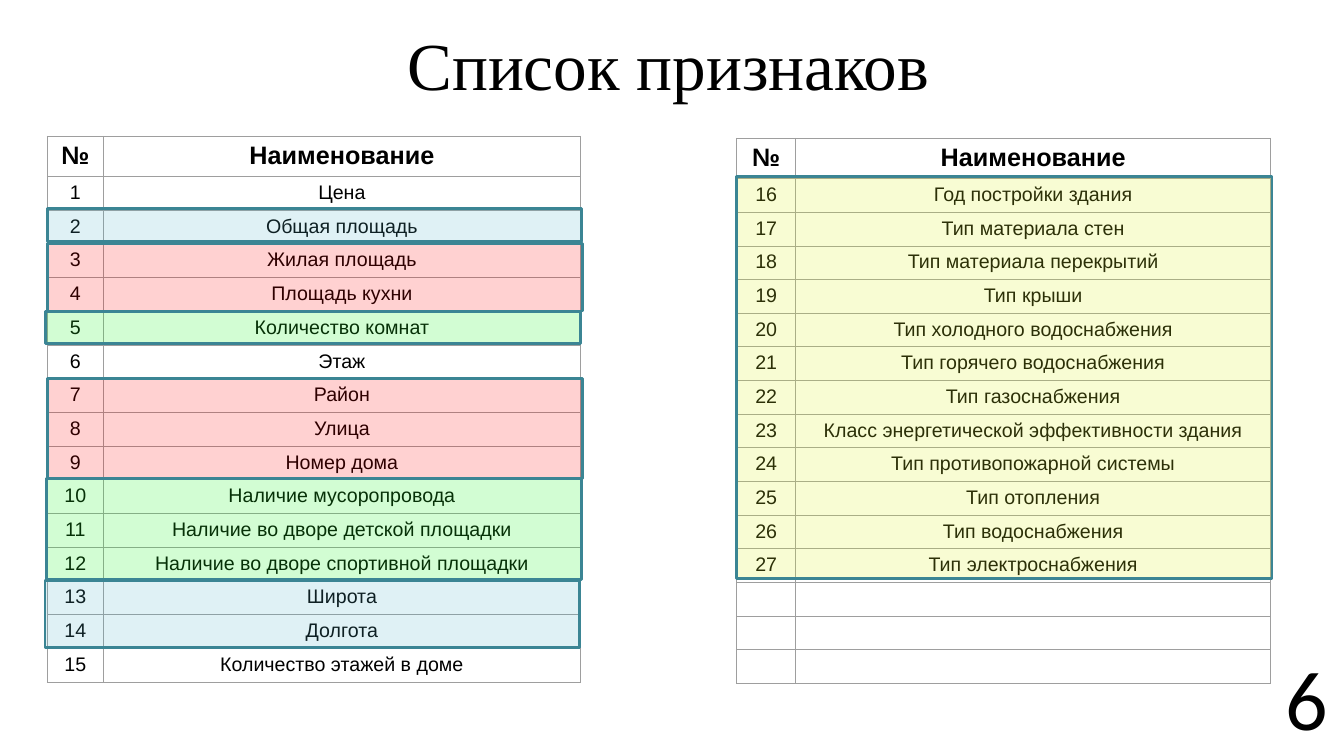
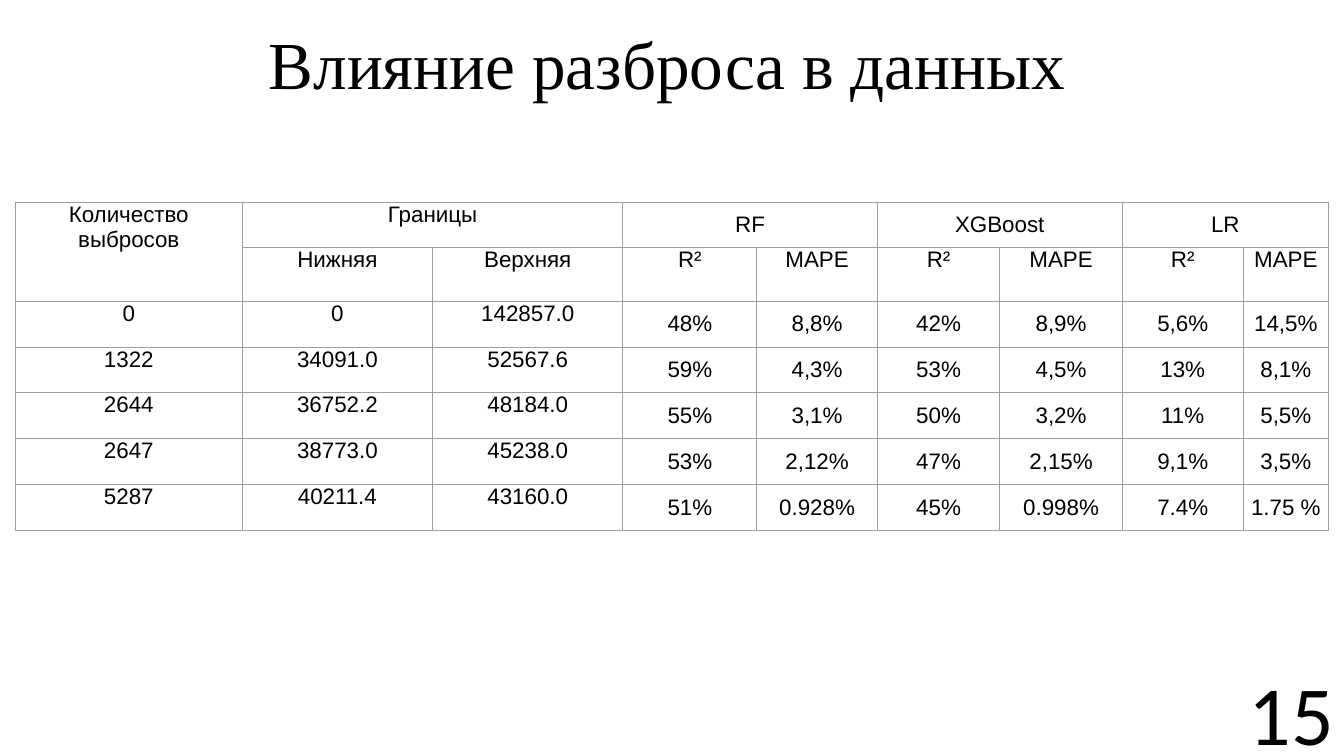
"""Build two slides: the list of housing features and the effect of outliers on model quality."""
from lxml.etree import SubElement
from pptx import Presentation
from pptx.dml.color import RGBColor
from pptx.enum.shapes import MSO_SHAPE
from pptx.enum.text import MSO_ANCHOR, PP_ALIGN
from pptx.oxml.ns import qn
from pptx.util import Pt

BLACK = RGBColor(0x00, 0x00, 0x00)
GRID = RGBColor(0x9E, 0x9E, 0x9E)
TEAL = RGBColor(0x3B, 0x85, 0x94)
BLUE = RGBColor(0x50, 0xB4, 0xC8)
GREEN = RGBColor(0x21, 0xF7, 0x26)
YELLOW = RGBColor(0xDE, 0xF1, 0x27)
RED = RGBColor(0xFF, 0x00, 0x00)
OPACITY = {BLUE: 18, GREEN: 20, YELLOW: 20, RED: 18}

FEATURES = [
    "Цена", "Общая площадь", "Жилая площадь", "Площадь кухни", "Количество комнат",
    "Этаж", "Район", "Улица", "Номер дома", "Наличие мусоропровода",
    "Наличие во дворе детской площадки", "Наличие во дворе спортивной площадки",
    "Широта", "Долгота", "Количество этажей в доме", "Год постройки здания",
    "Тип материала стен", "Тип материала перекрытий", "Тип крыши",
    "Тип холодного водоснабжения", "Тип горячего водоснабжения", "Тип газоснабжения",
    "Класс энергетической эффективности здания", "Тип противопожарной системы",
    "Тип отопления", "Тип водоснабжения", "Тип электроснабжения",
]
ROWS_PER_LIST = 15
FEATURE_LISTS = [
    {"left": 33.84, "top": 97.4, "widths": [40, 340.8], "row": 24.08},
    {"left": 526.3, "top": 98.8, "widths": [42, 339.4], "row": 22.97},
]
HEADER_HEIGHT = 27.1

HIGHLIGHTS = [
    (32.2, 414.6, 381.6, 48.2, BLUE),
    (33.3, 342, 382.3, 72, GREEN),
    (526.3, 126, 382.3, 287.3, YELLOW),
    (32.5, 222.4, 382.3, 23, GREEN),
    (34, 174, 382.3, 48.2, RED),
    (34, 270.5, 382.3, 71.3, RED),
    (34, 149, 381.2, 23.8, BLUE),
]

OUTLIERS = [
    ["Количество выбросов", "Границы", "", "RF", "", "XGBoost", "", "LR", ""],
    ["", "Нижняя", "Верхняя"] + ["R²", "MAPE"] * 3,
    ["0", "0", "142857.0", "48%", "8,8%", "42%", "8,9%", "5,6%", "14,5%"],
    ["1322", "34091.0", "52567.6", "59%", "4,3%", "53%", "4,5%", "13%", "8,1%"],
    ["2644", "36752.2", "48184.0", "55%", "3,1%", "50%", "3,2%", "11%", "5,5%"],
    ["2647", "38773.0", "45238.0", "53%", "2,12%", "47%", "2,15%", "9,1%", "3,5%"],
    ["5287", "40211.4", "43160.0", "51%", "0.928%", "45%", "0.998%", "7.4%", "1.75 %"],
]
OUTLIER_WIDTHS = [162, 136, 136, 95.7, 86, 87.6, 87.4, 86.4, 60.9]
OUTLIER_HEIGHTS = [32, 35.6] + [32.76] * 5
FIRST_SCORE_COLUMN = 3


def style_paragraph(para, font_name, size, align, bold=False):
    para.alignment = align
    for span in para.runs:
        span.font.name = font_name
        span.font.size = Pt(size)
        span.font.bold = bold
        span.font.color.rgb = BLACK
    if not para.runs:
        SubElement(para._p, qn("a:endParaRPr"), sz=str(size * 100))


def add_text(page, text, area, font_name, size, align, anchor):
    box = page.shapes.add_textbox(*map(Pt, area))
    frame = box.text_frame
    frame.word_wrap = True
    frame.vertical_anchor = anchor
    frame.text = text
    para = frame.paragraphs[0]
    style_paragraph(para, font_name, size, align)
    return para


def add_page(deck, title, title_area, number, number_area):
    page = deck.slides.add_slide(deck.slide_layouts[6])
    heading = add_text(page, title, title_area, "Times New Roman", 48,
                       PP_ALIGN.CENTER, MSO_ANCHOR.MIDDLE)
    heading.line_spacing = 0.85
    add_text(page, number, number_area, "Calibri", 60, PP_ALIGN.RIGHT, MSO_ANCHOR.BOTTOM)
    return page


def outline_cell(cell):
    properties = cell._tc.get_or_add_tcPr()
    for position, side in enumerate(("lnL", "lnR", "lnT", "lnB")):
        line = SubElement(properties, qn(f"a:{side}"), w=str(Pt(0.75)))
        fill = SubElement(line, qn("a:solidFill"))
        SubElement(fill, qn("a:srgbClr"), val=str(GRID))
        properties.insert(position, line)


def add_grid(page, rows, left, top, widths, heights, size, header_size=None):
    frame = page.shapes.add_table(len(rows), len(widths), Pt(left), Pt(top),
                                  Pt(sum(widths)), Pt(sum(heights)))
    table = frame.table
    table.first_row = table.horz_banding = False
    for column, width in zip(table.columns, widths):
        column.width = Pt(width)
    for row, height, texts in zip(table.rows, heights, rows):
        row.height = Pt(height)
        is_header = header_size is not None and texts is rows[0]
        for cell, text in zip(row.cells, texts):
            cell.text = text
            cell.fill.background()
            outline_cell(cell)
            style_paragraph(cell.text_frame.paragraphs[0], "Arial",
                            header_size if is_header else size, PP_ALIGN.CENTER, is_header)
    return table


def add_highlight(page, left, top, width, height, colour):
    shape = page.shapes.add_shape(MSO_SHAPE.RECTANGLE, Pt(left), Pt(top), Pt(width), Pt(height))
    shape.shadow.inherit = False
    shape.fill.solid()
    shape.fill.fore_color.rgb = colour
    tint = shape.fill._xPr.find(qn("a:solidFill"))[0]
    SubElement(tint, qn("a:alpha"), val=str(OPACITY[colour] * 1000))
    shape.line.color.rgb = TEAL
    shape.line.width = Pt(2)


def add_feature_page(deck):
    page = add_page(deck, "Список признаков", (53.3, 0.7, 848.2, 97.9),
                    "6", (725, 427, 230.4, 110.2))
    for index, place in enumerate(FEATURE_LISTS):
        start = index * ROWS_PER_LIST
        names = FEATURES[start:start + ROWS_PER_LIST]
        rows = [["№", "Наименование"]]
        rows += [[str(number), name] for number, name in enumerate(names, start + 1)]
        rows += [["", ""]] * (ROWS_PER_LIST - len(names))
        heights = [HEADER_HEIGHT] + [place["row"]] * ROWS_PER_LIST
        add_grid(page, rows, place["left"], place["top"], place["widths"], heights, 14, 18)
    for highlight in HIGHLIGHTS:
        add_highlight(page, *highlight)


def add_outlier_page(deck):
    page = add_page(deck, "Влияние разброса в данных", (52.6, 0, 848.2, 97.9),
                    "15", (729.4, 474.5, 230.4, 73.4))
    table = add_grid(page, OUTLIERS, 11, 144.7, OUTLIER_WIDTHS, OUTLIER_HEIGHTS, 16)
    for row_index, row in enumerate(table.rows):
        for column_index, cell in enumerate(row.cells):
            cell.margin_left = cell.margin_right = Pt(5)
            cell.margin_top = cell.margin_bottom = 0
            is_score = column_index >= FIRST_SCORE_COLUMN and row_index != 1
            cell.vertical_anchor = MSO_ANCHOR.MIDDLE if is_score else MSO_ANCHOR.TOP
    table.cell(0, 0).merge(table.cell(1, 0))
    for column_index in range(1, len(OUTLIER_WIDTHS), 2):
        table.cell(0, column_index).merge(table.cell(0, column_index + 1))


def main():
    deck = Presentation()
    deck.slide_width, deck.slide_height = Pt(960), Pt(540)
    add_feature_page(deck)
    add_outlier_page(deck)
    deck.save("out.pptx")


if __name__ == "__main__":
    main()
